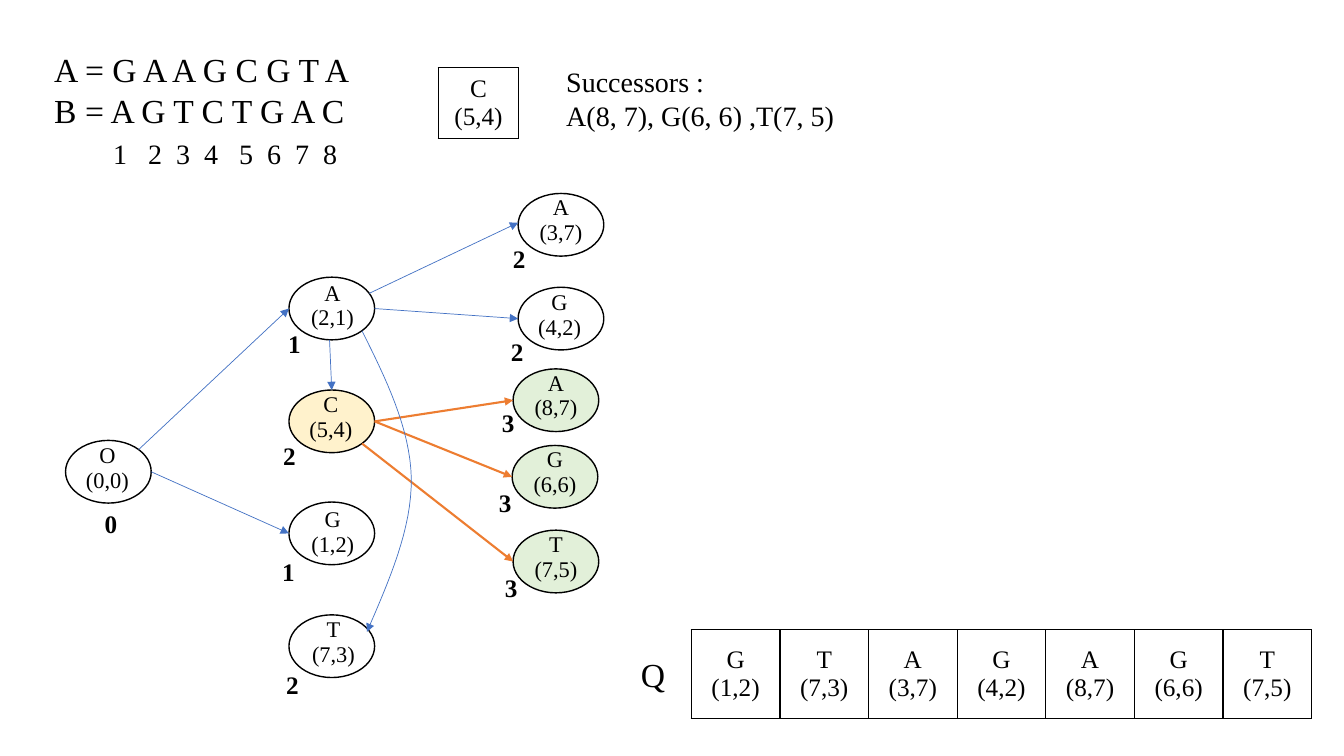
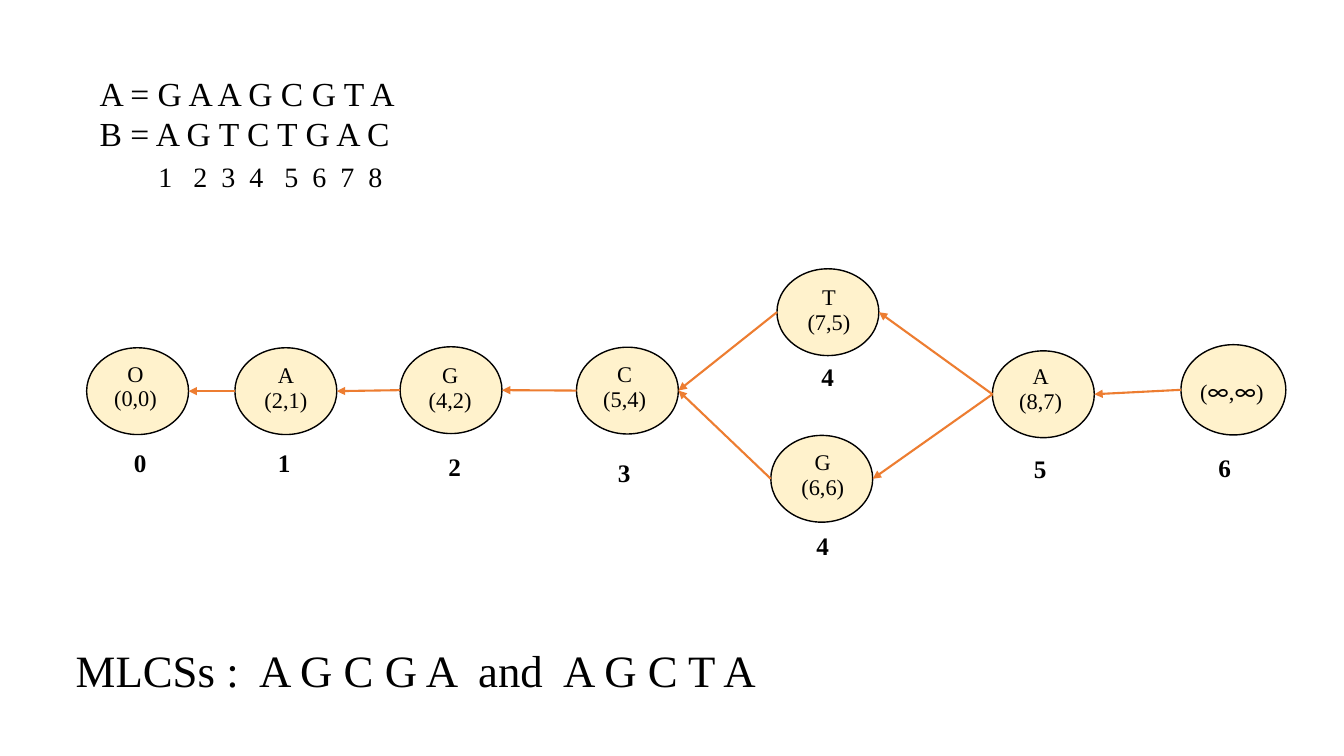
from dataclasses import dataclass
from itertools import groupby
from math import cos, radians, sin
from typing import Optional

from lxml.etree import SubElement
from pptx import Presentation
from pptx.dml.color import RGBColor
from pptx.enum.shapes import MSO_CONNECTOR, MSO_SHAPE
from pptx.enum.text import MSO_ANCHOR, PP_ALIGN
from pptx.oxml.ns import qn
from pptx.util import Pt


@dataclass(frozen=True)
class Theme:
    ink: str = "000000"
    edge: str = "4472C4"
    active_edge: str = "ED7D31"
    current: str = "FFF2CC"
    successor: str = "E2F0D9"
    font: str = "Times New Roman"
    symbol_font: str = "Calibri"
    title: float = 32
    sequence: float = 24
    body: float = 20
    cell: float = 18
    node: float = 16
    outline: float = 1
    thin: float = 0.5
    thick: float = 1.5


THEME = Theme()


@dataclass(frozen=True)
class Node:
    base: str
    match: str
    left: float
    top: float
    rank: str
    rank_left: float
    rank_top: float
    fill: Optional[str] = None
    shift_x: float = 0
    shift_y: float = -3.2
    width: float = 61.2
    height: float = 44.8
    label_width: float = 47.5
    label_height: float = 45.4
    rank_width: float = 23.8

    @property
    def key(self) -> str:
        return self.base + self.match

    @property
    def label(self) -> str:
        return "\n".join(filter(None, (self.base, self.match)))

    def port(self, angle: float) -> tuple[float, float]:
        turn = radians(angle)
        return (self.left + self.width / 2 * (1 + cos(turn)),
                self.top + self.height / 2 * (1 + sin(turn)))


@dataclass(frozen=True)
class Edge:
    source: str
    target: str
    source_angle: float = 0
    target_angle: float = 180
    active: bool = False


def path_node(base: str, match: str, left: float, top: float, rank: str, rank_left: float,
              rank_top: float, shift_x: float = 0, shift_y: float = -2.2,
              width: float = 72.8, height: float = 62, label_width: float = 57,
              label_height: float = 63.4) -> Node:
    return Node(base, match, left, top, rank, rank_left, rank_top, THEME.current,
                shift_x, shift_y, width, height, label_width, label_height, 28)


SEARCH_NODES = [
    Node("O", "(0,0)", 46.8, 314.6, "0", 67.7, 359.3, shift_x=-0.7, shift_y=-2.5, label_width=45.4),
    Node("A", "(2,1)", 206.4, 198, "1", 198.7, 231.1, shift_x=0.5, shift_y=-2),
    Node("C", "(5,4)", 206.4, 278.6, "2", 195.1, 311, THEME.current, -0.7, label_width=49),
    Node("G", "(1,2)", 206.4, 358.6, "1", 194.4, 393.8, shift_x=0.7, shift_y=-0.5),
    Node("T", "(7,3)", 206.4, 439.2, "2", 197.3, 474.5, shift_x=1.2, shift_y=-2.7),
    Node("A", "(3,7)", 370.1, 138.2, "2", 359.3, 170.6),
    Node("G", "(4,2)", 370.1, 205.2, "2", 357.8, 236.9, shift_x=-1, shift_y=-2.7),
    Node("A", "(8,7)", 366.5, 263.5, "3", 351.4, 287.3, THEME.successor),
    Node("G", "(6,6)", 365.8, 318.2, "3", 349.2, 344.2, THEME.successor),
    Node("T", "(7,5)", 366.5, 378.7, "3", 353.5, 405.4, THEME.successor),
]
SEARCH_EDGES = [
    Edge("O(0,0)", "A(2,1)", -45),
    Edge("O(0,0)", "G(1,2)"),
    Edge("A(2,1)", "A(3,7)", -29, 184),
    Edge("A(2,1)", "G(4,2)"),
    Edge("A(2,1)", "C(5,4)", 93, 270),
    Edge("C(5,4)", "A(8,7)", active=True),
    Edge("C(5,4)", "G(6,6)", active=True),
    Edge("C(5,4)", "T(7,5)", 45, active=True),
]
SKIP_CURVE = [(258.5, 236.2), (275.8, 270.7), (293, 306), (293.8, 341.3),
              (294.5, 377.3), (277.9, 414.7), (262.1, 451.4)]
QUEUE = ["G\n(1,2)", "T\n(7,3)", "A\n(3,7)", "G\n(4,2)", "A\n(8,7)", "G\n(6,6)", "T\n(7,5)"]

PATH_NODES = [
    path_node("O", "(0,0)", 61.9, 248.4, "0", 88.6, 316.1, -1.5, -3, label_width=54),
    path_node("A", "(2,1)", 167.8, 248.4, "1", 191.5, 316.1),
    path_node("G", "(4,2)", 285.8, 247.7, "2", 313.2, 319, -0.7, -1.5),
    path_node("C", "(5,4)", 411.8, 248, "3", 434.2, 323.3, -2, label_width=61.2),
    path_node("T", "(7,5)", 555, 192, "4", 579.6, 254.9, 0.7, -1.5),
    path_node("G", "(6,6)", 550.6, 311, "4", 576, 375.1, 0.7),
    path_node("A", "(8,7)", 708.9, 250.6, "5", 731.5, 320.4, -2, -3.6),
    path_node("", "(∞,∞)", 843.6, 246.2, "6", 863.3, 319.7, -1.2, 1.5, 74.9, 64.5, 74.9, 50.4),
]
PATH_EDGES = [Edge(source, target, 180, 0, True) for source, target in [
    ("A(2,1)", "O(0,0)"), ("G(4,2)", "A(2,1)"), ("C(5,4)", "G(4,2)"),
    ("T(7,5)", "C(5,4)"), ("G(6,6)", "C(5,4)"), ("A(8,7)", "T(7,5)"),
    ("A(8,7)", "G(6,6)"), ("(∞,∞)", "A(8,7)"),
]]


def style_run(run, size: float, bold: bool = False, font: str = THEME.font) -> None:
    run.font.name = font
    run.font.size = Pt(size)
    run.font.bold = bold
    run.font.color.rgb = RGBColor.from_string(THEME.ink)


def add_tabs(paragraph, positions: list[float]) -> None:
    tab_list = SubElement(paragraph._p.get_or_add_pPr(), qn("a:tabLst"))
    for position in positions:
        SubElement(tab_list, qn("a:tab"), pos=str(int(Pt(position))), algn="l")


def add_text(slide, left: float, top: float, width: float, height: float, text: str,
             size: float, bold: bool = False):
    text_frame = slide.shapes.add_textbox(Pt(left), Pt(top), Pt(width), Pt(height)).text_frame
    text_frame.word_wrap = True
    text_frame.text = text
    for paragraph in text_frame.paragraphs:
        for run in paragraph.runs:
            style_run(run, size, bold)
    return text_frame


def add_sequences(slide, left: float, top: float) -> None:
    text_frame = add_text(slide, left, top, 233.3, 94.3,
                          "A = G A A G C G T A\nB = A G T C T G A C\n\t1\t2\t3\t4\t5\t6\t7\t8",
                          THEME.sequence)
    positions = text_frame.paragraphs[2]
    add_tabs(positions, [42, 67, 87, 107, 132, 152, 172, 192])
    positions.line_spacing = Pt(28.4)
    for run in positions.runs:
        run.font.size = Pt(THEME.body)


def add_label_runs(paragraph, text: str, size: float) -> None:
    for is_symbol, characters in groupby(text, lambda character: character == "∞"):
        run = paragraph.add_run()
        run.text = "".join(characters)
        if is_symbol:
            style_run(run, THEME.cell, font=THEME.symbol_font)
        else:
            style_run(run, size)


def add_borders(cell, visible: bool) -> None:
    properties = cell._tc.get_or_add_tcPr()
    for side in ("a:lnL", "a:lnR", "a:lnT", "a:lnB"):
        border = SubElement(properties, qn(side), w=str(int(Pt(THEME.outline))))
        if visible:
            SubElement(SubElement(border, qn("a:solidFill")), qn("a:srgbClr"), val=THEME.ink)
        else:
            SubElement(border, qn("a:noFill"))


def add_table(slide, left: float, top: float, column_width: float, height: float,
              labels: list[str], size: float = THEME.cell, bordered: bool = True) -> None:
    table = slide.shapes.add_table(1, len(labels), Pt(left), Pt(top),
                                   Pt(column_width * len(labels)), Pt(height)).table
    table.first_row = table.horz_banding = False
    for column, cell, label in zip(table.columns, table.rows[0].cells, labels):
        column.width = Pt(column_width)
        cell.margin_left = cell.margin_right = Pt(0)
        cell.vertical_anchor = MSO_ANCHOR.MIDDLE
        for index, line in enumerate(label.split("\n")):
            text_frame = cell.text_frame
            paragraph = text_frame.add_paragraph() if index else text_frame.paragraphs[0]
            paragraph.alignment = PP_ALIGN.CENTER
            add_label_runs(paragraph, line, size)
        add_borders(cell, bordered)
        cell.fill.background()


def add_node(slide, node: Node) -> None:
    shape = slide.shapes.add_shape(MSO_SHAPE.OVAL, Pt(node.left), Pt(node.top),
                                   Pt(node.width), Pt(node.height))
    shape.shadow.inherit = False
    shape.line.color.rgb = RGBColor.from_string(THEME.ink)
    shape.line.width = Pt(THEME.outline)
    if node.fill:
        shape.fill.solid()
        shape.fill.fore_color.rgb = RGBColor.from_string(node.fill)
    else:
        shape.fill.background()
    add_table(slide, node.left + (node.width - node.label_width) / 2 + node.shift_x,
              node.top + (node.height - node.label_height) / 2 + node.shift_y,
              node.label_width, node.label_height, [node.label], THEME.node, bordered=False)
    add_text(slide, node.rank_left, node.rank_top, node.rank_width, 28.8, node.rank,
             THEME.cell, bold=True)


def style_arrow(shape, color: str, width: float) -> None:
    shape.line.color.rgb = RGBColor.from_string(color)
    shape.line.width = Pt(width)
    SubElement(shape.line._get_or_add_ln(), qn("a:tailEnd"), type="triangle")


def add_edge(slide, nodes: dict[str, Node], edge: Edge) -> None:
    start = nodes[edge.source].port(edge.source_angle)
    end = nodes[edge.target].port(edge.target_angle)
    connector = slide.shapes.add_connector(MSO_CONNECTOR.STRAIGHT,
                                           *(Pt(value) for value in start + end))
    style_arrow(connector, THEME.active_edge if edge.active else THEME.edge,
                THEME.thick if edge.active else THEME.thin)
    SubElement(connector._element.spPr, qn("a:effectLst"))


def add_curve(slide, controls: list[tuple[float, float]], steps: int = 16) -> None:
    points = []
    for first in range(0, len(controls) - 1, 3):
        segment = controls[first:first + 4]
        for step in range(1, steps + 1):
            t = step / steps
            weights = ((1 - t) ** 3, 3 * t * (1 - t) ** 2, 3 * t ** 2 * (1 - t), t ** 3)
            points.append(tuple(Pt(sum(weight * point[axis]
                                       for weight, point in zip(weights, segment)))
                                for axis in (0, 1)))
    builder = slide.shapes.build_freeform(Pt(controls[0][0]), Pt(controls[0][1]))
    builder.add_line_segments(points, close=False)
    shape = builder.convert_to_shape()
    shape.shadow.inherit = False
    shape.fill.background()
    style_arrow(shape, THEME.edge, THEME.thin)


def add_graph(slide, nodes: list[Node], edges: list[Edge]) -> None:
    for node in nodes:
        add_node(slide, node)
    nodes_by_key = {node.key: node for node in nodes}
    for edge in edges:
        add_edge(slide, nodes_by_key, edge)


def add_search_slide(presentation) -> None:
    slide = presentation.slides.add_slide(presentation.slide_layouts[6])
    add_sequences(slide, 31.7, 31.7)
    add_table(slide, 313, 48.3, 57.6, 50.2, ["C\n(5,4)"])
    add_text(slide, 397.4, 42.5, 225.4, 55.4,
             "Successors :\nA(8, 7), G(6, 6) ,T(7, 5)", THEME.body)
    add_graph(slide, SEARCH_NODES, SEARCH_EDGES)
    add_curve(slide, SKIP_CURVE)
    add_text(slide, 450.7, 463.7, 33.8, 36, "Q", THEME.sequence)
    add_table(slide, 493.8, 449.8, 63.3, 63.4, QUEUE)


def add_path_slide(presentation) -> None:
    slide = presentation.slides.add_slide(presentation.slide_layouts[6])
    add_sequences(slide, 64.1, 48.2)
    add_graph(slide, PATH_NODES, PATH_EDGES)
    text_frame = add_text(slide, 47, 455.8, 532, 46,
                          "MLCSs :\tA G C G A\tand\tA G C T A", THEME.title)
    add_tabs(text_frame.paragraphs[0], [131, 287.5, 348.2])


def main() -> None:
    presentation = Presentation()
    presentation.slide_width = Pt(960)
    presentation.slide_height = Pt(540)
    add_search_slide(presentation)
    add_path_slide(presentation)
    presentation.save("out.pptx")


if __name__ == "__main__":
    main()
